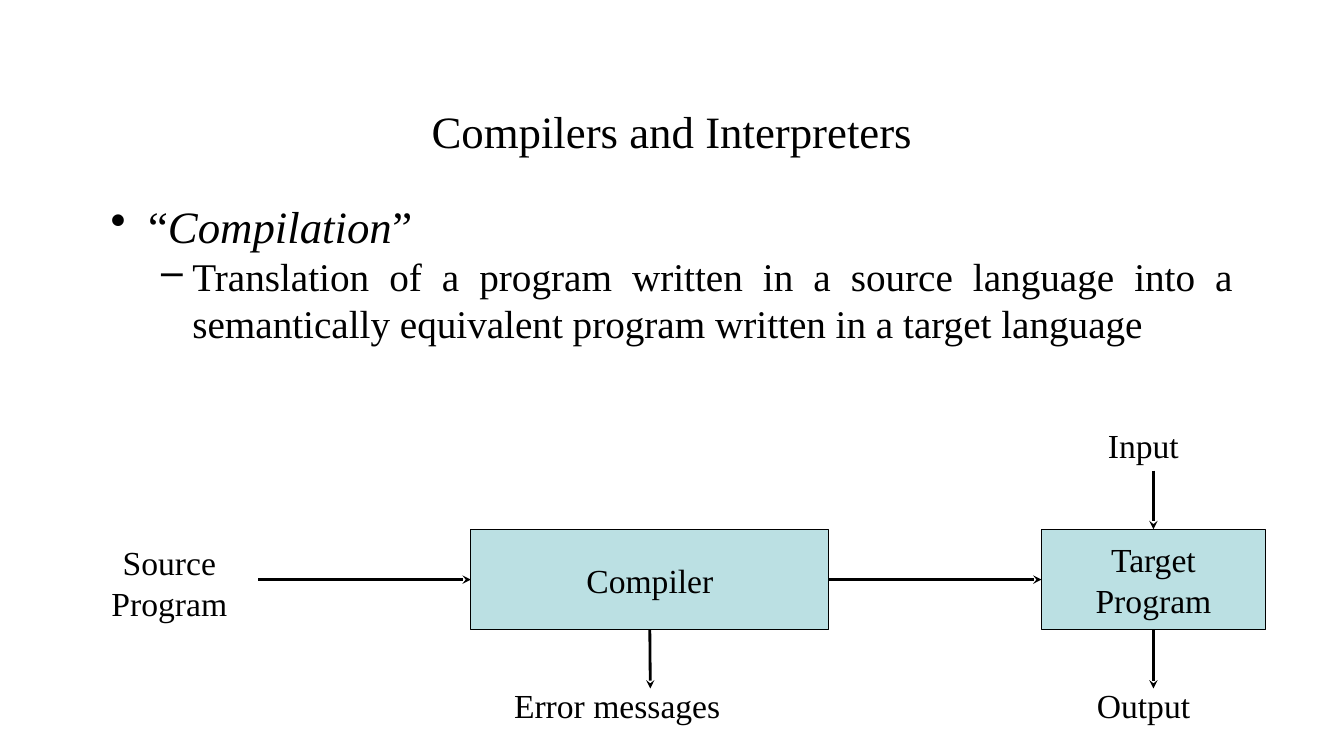
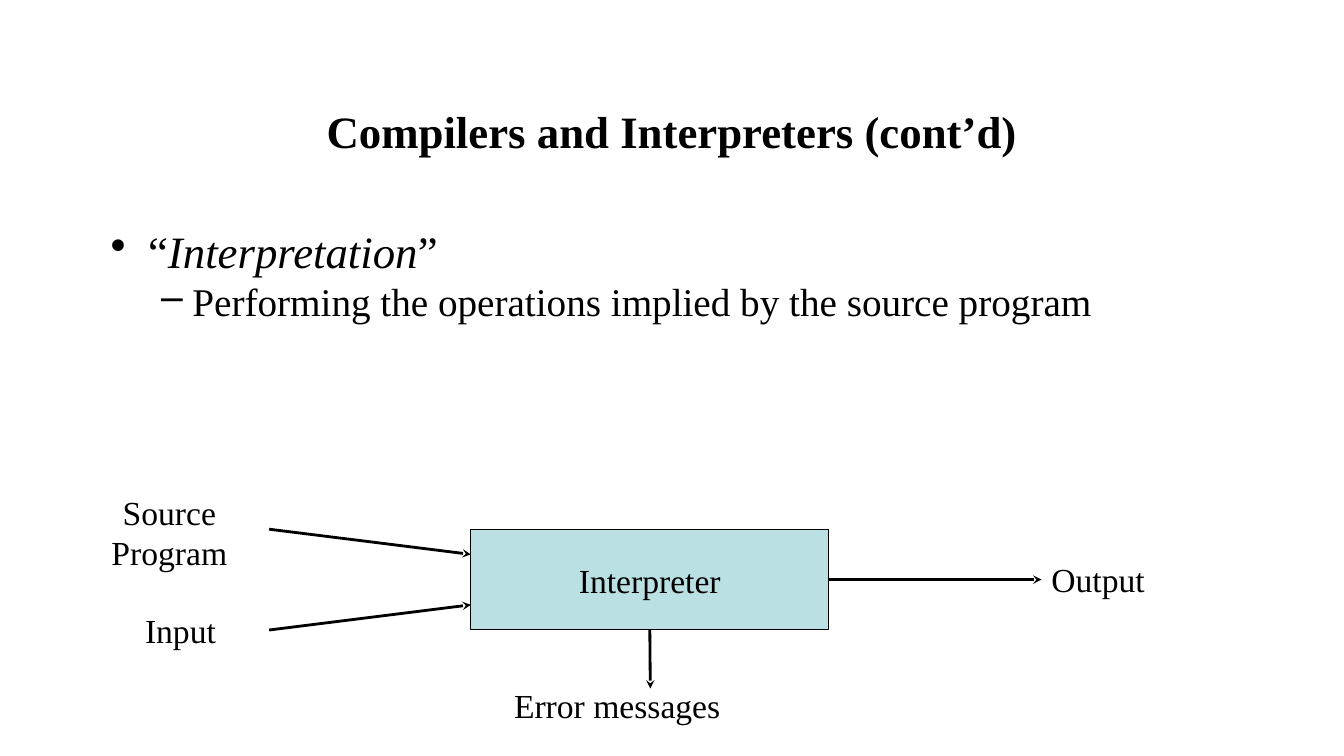
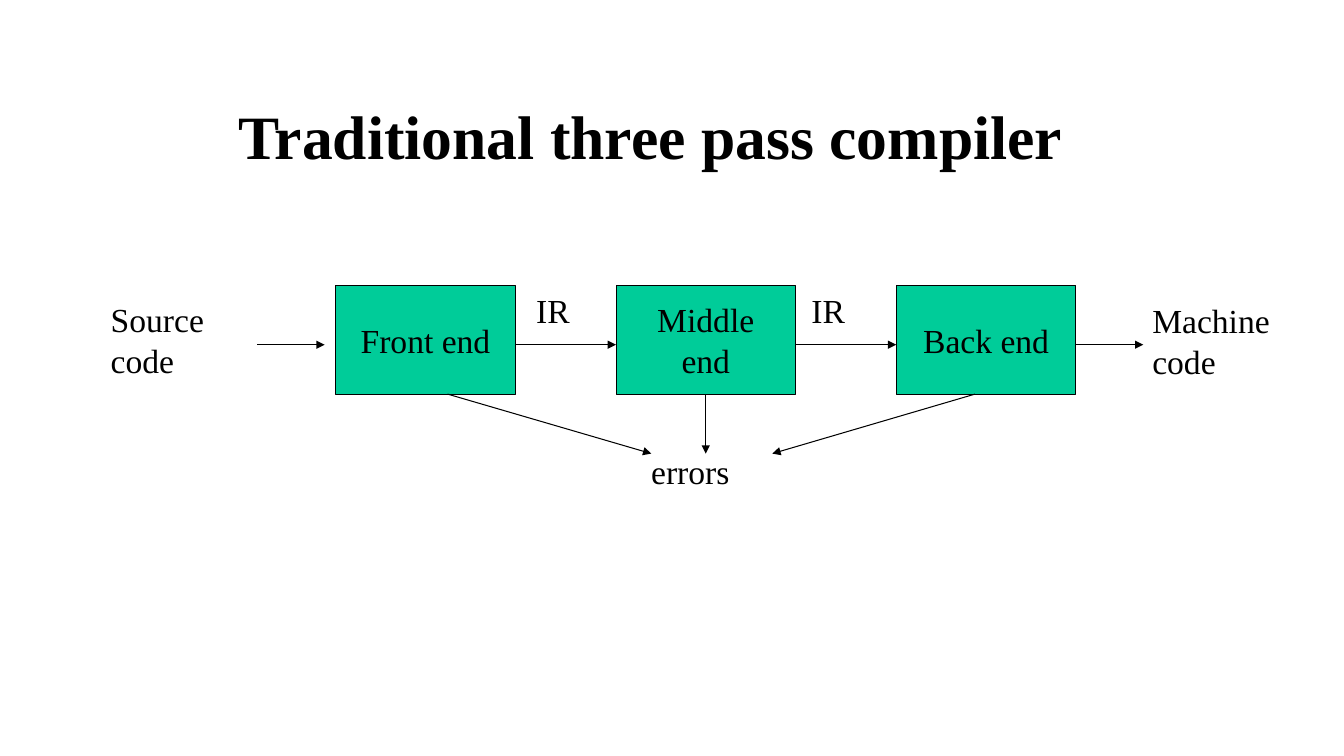
from lxml.etree import SubElement
from pptx import Presentation
from pptx.dml.color import RGBColor
from pptx.enum.shapes import MSO_CONNECTOR, MSO_SHAPE
from pptx.enum.text import MSO_ANCHOR, PP_ALIGN
from pptx.oxml.ns import qn
from pptx.util import Emu, Pt

FONT = "Times New Roman"
INK, AQUA, GREEN = "000000", "BBE0E3", "00CC99"
LEFT, MID, JUST = PP_ALIGN.LEFT, PP_ALIGN.CENTER, PP_ALIGN.JUSTIFY
TOP_SIDE, LEFT_SIDE, BASE, RIGHT_SIDE = range(4)
MARKS = (("•", 37, 37, 32), ("–", 81, 31, 28))  # sign, margin, hang, size


def px(num):
    """Turn px (100 to the inch) into EMU."""
    return Emu(round(num * 9144))


def rgb(code):
    return RGBColor.from_string(code)


class Deck:
    def __init__(self, wide, high):
        self.file = Presentation()
        self.file.slide_width, self.file.slide_height = px(wide), px(high)
        self.slide = None

    def page(self, text, bold=True, size=32, at=(100, 67)):
        """Start a slide with its title."""
        self.slide = self.file.slides.add_slide(self.file.slide_layouts[6])
        frame = self.frame(*at, 1133, 125)
        frame.vertical_anchor = MSO_ANCHOR.MIDDLE
        self.fill(frame, text, size, MID, bold)

    def frame(self, x, y, wide, high):
        box = self.slide.shapes.add_textbox(px(x), px(y), px(wide), px(high))
        box.text_frame.word_wrap = True
        return box.text_frame

    def style(self, para, size, align=LEFT, bold=False):
        para.alignment = align
        font = para.font
        font.name, font.size, font.bold = FONT, Pt(size), bold
        font.color.rgb = rgb(INK)

    def fill(self, frame, text, size=24, align=LEFT, bold=False):
        """Write each line of text as a paragraph."""
        frame.text = text
        for para in frame.paragraphs:
            self.style(para, size, align, bold)

    def label(self, text, x, y, wide, high=50, align=LEFT):
        self.fill(self.frame(x, y, wide, high), text, align=align)

    def bullet(self, para, level, align=LEFT):
        sign, margin, hang, size = MARKS[level]
        para.level = level
        props = para._p.get_or_add_pPr()
        props.set("marL", str(px(margin)))
        props.set("indent", str(px(-hang)))
        tint = SubElement(props, qn("a:buClr"))
        SubElement(tint, qn("a:srgbClr"), val=INK)
        SubElement(props, qn("a:buChar"), char=sign)
        self.style(para, size, align)

    def body(self, term, text, y, high, align=LEFT):
        """Write a quoted term and its meaning below it."""
        frame = self.frame(100, y, 1133, high)
        head = frame.paragraphs[0]
        self.bullet(head, 0)
        for part in ("“", term, "”"):
            run = head.add_run()
            run.text = part
            run.font.italic = part == term
        note = frame.add_paragraph()
        self.bullet(note, 1, align)
        note.add_run().text = text

    def box(self, text, x, y, wide, high, tint=AQUA):
        box = self.slide.shapes.add_shape(
            MSO_SHAPE.RECTANGLE, px(x), px(y), px(wide), px(high))
        box.shadow.inherit = False
        box.fill.solid()
        box.fill.fore_color.rgb = rgb(tint)
        box.line.color.rgb = rgb(INK)
        box.line.width = Pt(0.75)
        frame = box.text_frame
        frame.word_wrap = False
        frame.vertical_anchor = MSO_ANCHOR.MIDDLE
        self.fill(frame, text, align=MID)
        return box

    def arrow(self, start, end, width=2, head="stealth"):
        """Draw from start to end, each a point or a (box, side) pair."""
        glued = [not isinstance(spot[0], int) for spot in (start, end)]
        ends = [(0, 0) if glue else spot
                for glue, spot in zip(glued, (start, end))]
        line = self.slide.shapes.add_connector(
            MSO_CONNECTOR.STRAIGHT, *[px(num) for spot in ends for num in spot])
        if glued[0]:
            line.begin_connect(*start)
        if glued[1]:
            line.end_connect(*end)
        line.line.color.rgb = rgb(INK)
        line.line.width = Pt(width)
        SubElement(line.line._get_or_add_ln(), qn("a:tailEnd"), type=head)
        SubElement(line._element.spPr, qn("a:effectLst"))

    def core(self, text):
        """Draw the main box with its error output."""
        box = self.box(text, 467, 525, 355, 100)
        self.arrow((box, BASE), (645, 683))
        self.label("Error messages", 500, 675, 300)
        return box


def compile_page(deck):
    deck.page("Compilers and Interpreters", bold=False)
    deck.body("Compilation",
              "Translation of a program written in a source language into a "
              "semantically equivalent program written in a target language",
              192, 475, JUST)
    core = deck.core("Compiler")
    target = deck.box("Target\nProgram", 1033, 525, 222, 100)
    deck.label("Source\nProgram", 78, 533, 180, 90, MID)
    deck.label("Input", 1089, 417, 120)
    deck.label("Output", 1078, 675, 150)
    deck.arrow((256, 575), (core, LEFT_SIDE))
    deck.arrow((core, RIGHT_SIDE), (target, LEFT_SIDE))
    deck.arrow((1144, 467), (target, TOP_SIDE))
    deck.arrow((target, BASE), (1144, 683))


def interpret_page(deck):
    deck.page("Compilers and Interpreters (cont’d)")
    deck.body("Interpretation",
              "Performing the operations implied by the source program",
              217, 450)
    core = deck.core("Interpreter")
    deck.label("Source\nProgram", 78, 483, 180, 90, MID)
    deck.label("Input", 134, 600, 120)
    deck.label("Output", 1033, 550, 150)
    deck.arrow((267, 525), (467, 550))
    deck.arrow((267, 625), (467, 600))
    deck.arrow((core, RIGHT_SIDE), (1033, 575))


def pass_page(deck):
    deck.page("Traditional three pass compiler", size=44, at=(79, 71))
    wide, step, top, high, flow = 178, 278, 283, 108, 342
    lefts = [333 + step * i for i in range(3)]
    names = ("Front end", "Middle\nend", "Back end")
    boxes = [deck.box(name, x, top, wide, high, GREEN)
             for name, x in zip(names, lefts)]
    deck.label("Source\ncode", 100, 292, 150, 90)
    deck.label("Machine\ncode", 1133, 293, 182, 90)
    deck.label("errors", 636, 442, 130)
    for x in (522, 795):
        deck.label("IR", x, top, 71)
    base = top + high
    links = [((255, flow), (322, flow)),
             ((lefts[2] + wide, flow), (1134, flow)),
             ((444, base), (646, 450)),
             ((boxes[1], BASE), (700, 450)),
             ((967, base), (766, 450))]
    links += [((x + wide, flow), (x + step, flow)) for x in lefts[:2]]
    for start, end in links:
        deck.arrow(start, end, 0.75, "triangle")


def main():
    deck = Deck(1333, 750)
    compile_page(deck)
    interpret_page(deck)
    pass_page(deck)
    deck.file.save("out.pptx")


if __name__ == "__main__":
    main()
